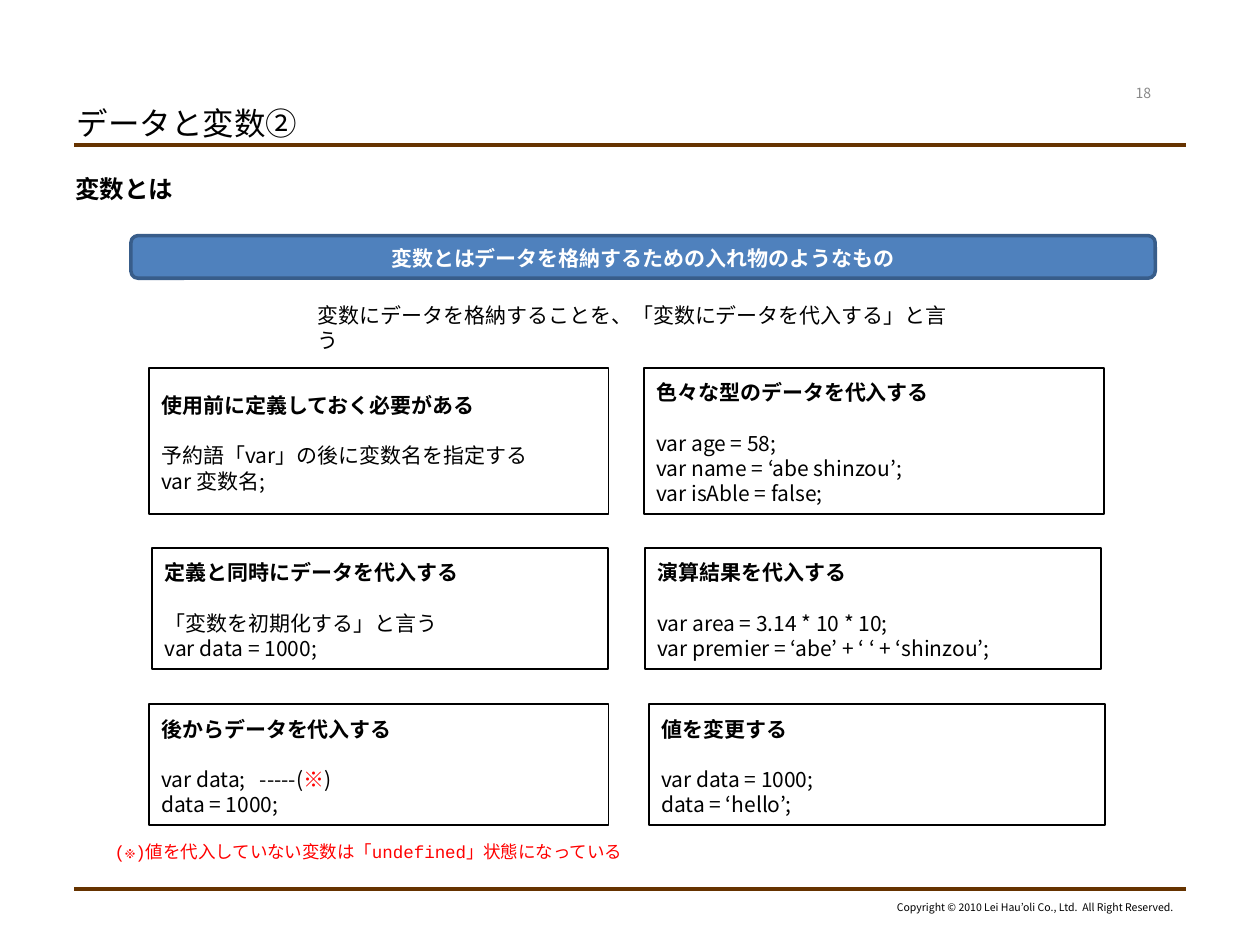
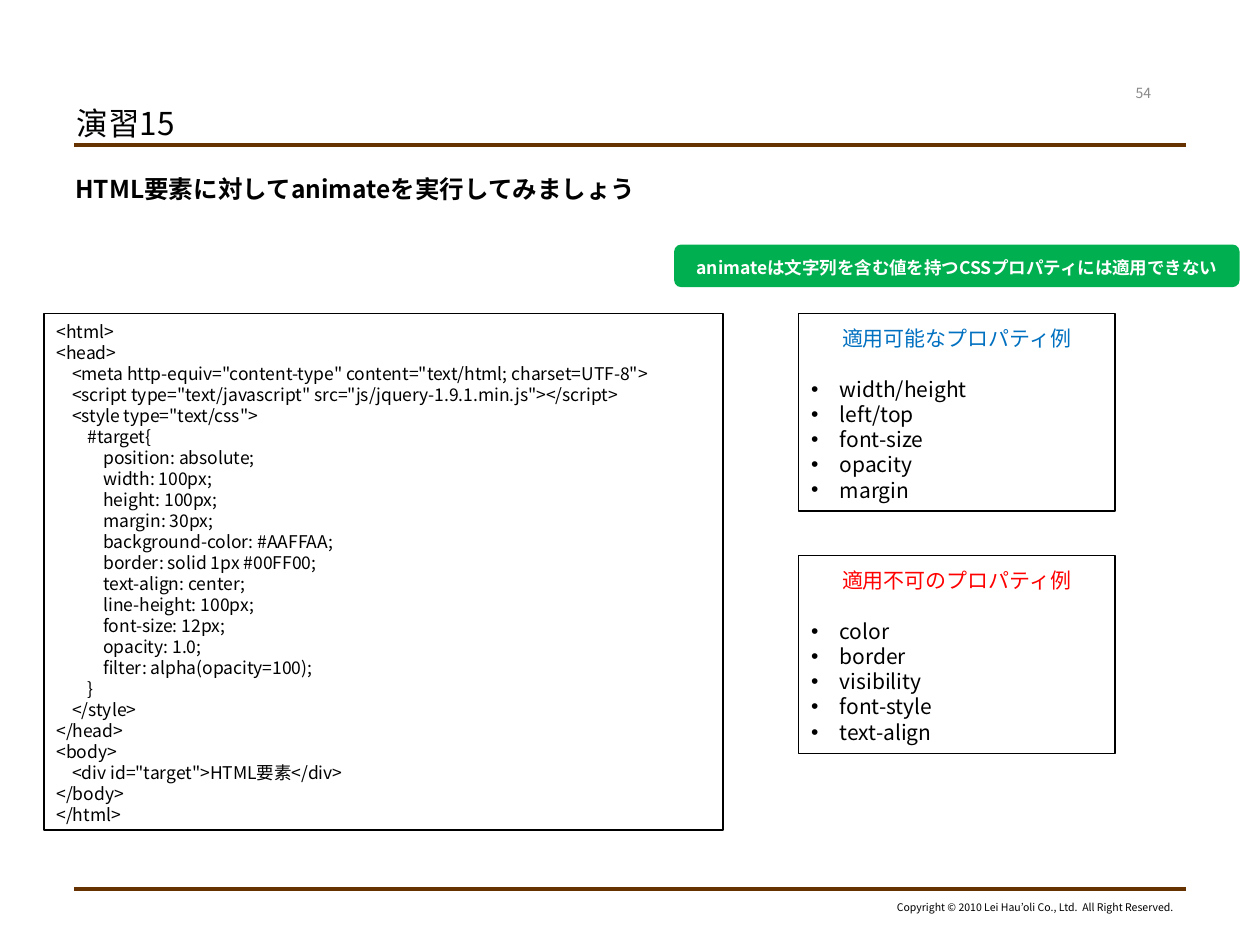
from lxml import etree
from pptx import Presentation
from pptx.dml.color import RGBColor
from pptx.enum.shapes import MSO_CONNECTOR, MSO_SHAPE
from pptx.enum.text import MSO_ANCHOR, PP_ALIGN
from pptx.oxml.ns import qn
from pptx.util import Cm, Pt

LEFT, CENTER, RIGHT = PP_ALIGN.LEFT, PP_ALIGN.CENTER, PP_ALIGN.RIGHT
TOP, MIDDLE = MSO_ANCHOR.TOP, MSO_ANCHOR.MIDDLE
RECTANGLE, ROUNDED = MSO_SHAPE.RECTANGLE, MSO_SHAPE.ROUNDED_RECTANGLE
STRAIGHT = MSO_CONNECTOR.STRAIGHT

TITLE_ONLY = 5
SANS, MONO = "Noto Sans CJK JP", "Courier New"
BLACK, WHITE, GRAY, BROWN = "000000", "FFFFFF", "898989", "663300"
BLUE, DARK_BLUE, GREEN = "4F81BD", "385D8A", "00B050"
RED, TEXT_BLUE = "FF0000", "0070C0"
LINE_HEIGHT = 1.2

VARIABLE_BOXES = [
    ((3, 7.42, 9.27, 2.95), "使用前に定義しておく必要がある",
     ["予約語「var」の後に変数名を指定する", "var 変数名;"]),
    ((12.98, 7.42, 9.27, 2.95), "色々な型のデータを代入する",
     ["var age = 58;", "var name = ‘abe shinzou’;", "var isAble = false;"]),
    ((3.07, 11.05, 9.19, 2.44), "定義と同時にデータを代入する",
     ["「変数を初期化する」と言う", "var data = 1000;"]),
    ((13, 11.05, 9.19, 2.44), "演算結果を代入する",
     ["var area = 3.14 * 10 * 10;", "var premier = ‘abe’ + ‘ ‘ + ‘shinzou’;"]),
    ((3, 14.2, 9.27, 2.44), "後からデータを代入する",
     [[("var data;   -----(", BLACK), ("※", RED), (")", BLACK)], "data = 1000;"]),
    ((13.08, 14.2, 9.19, 2.44), "値を変更する",
     ["var data = 1000;", "data = ‘hello’;"]),
]

PROPERTY_BOXES = [
    ((16.1, 6.32, 6.38, 3.99), "適用可能なプロパティ例", TEXT_BLUE,
     ["width/height", "left/top", "font-size", "opacity", "margin"]),
    ((16.1, 11.2, 6.38, 3.99), "適用不可のプロパティ例", RED,
     ["color", "border", "visibility", "font-style", "text-align"]),
]

CODE = """<html>
<head>
    <meta http-equiv="content-type" content="text/html; charset=UTF-8">
    <script type="text/javascript" src="js/jquery-1.9.1.min.js"></script>
    <style type="text/css">
        #target{
            position: absolute;
            width: 100px;
            height: 100px;
            margin: 30px;
            background-color: #AAFFAA;
            border: solid 1px #00FF00;
            text-align: center;
            line-height: 100px;
            font-size: 12px;
            opacity: 1.0;
            filter: alpha(opacity=100);
        }
    </style>
</head>
<body>
    <div id="target">HTML要素</div>
</body>
</html>"""


def color(value):
    return RGBColor.from_string(value)


def lengths(box):
    return [Cm(value) for value in box]


def prepare_frame(shape, size, anchor=MIDDLE, wrap=True):
    frame = shape.text_frame
    frame.word_wrap = wrap
    frame.vertical_anchor = anchor
    frame.margin_left = frame.margin_right = Cm(0.25)
    frame.margin_top = Cm(0.13) + Pt(size * 0.08)
    frame.margin_bottom = Cm(0.13) - Pt(size * 0.08)
    return frame


def add_bullet(paragraph):
    properties = paragraph._p.get_or_add_pPr()
    properties.set("marL", str(Cm(0.58)))
    properties.set("indent", str(-Cm(0.58)))
    etree.SubElement(properties, qn("a:buFont"), typeface="Arial")
    etree.SubElement(properties, qn("a:buChar"), char="•")


def write_line(frame, content, size, text_color=BLACK, bold=False, align=LEFT,
               font_name=SANS, bullet=False, space_after=0):
    paragraph = frame.paragraphs[0]
    if paragraph.runs:
        paragraph = frame.add_paragraph()
    if bullet:
        add_bullet(paragraph)
    paragraph.alignment = align
    paragraph.line_spacing = Pt(size * LINE_HEIGHT)
    paragraph.space_before = Pt(0)
    paragraph.space_after = Pt(space_after)
    runs = [(content, text_color)] if isinstance(content, str) else content
    for text, run_color in runs:
        run = paragraph.add_run()
        run.text = text
        run.font.size = Pt(size)
        run.font.bold = bold
        run.font.name = font_name
        run.font.color.rgb = color(run_color)
        etree.SubElement(run.font._element, qn("a:ea"), typeface=SANS)


def add_label(slide, box, text, size, anchor=TOP, wrap=False, **style):
    shape = slide.shapes.add_textbox(*lengths(box))
    write_line(prepare_frame(shape, size, anchor, wrap), text, size, **style)


def add_panel(slide, box, kind=RECTANGLE, fill=None, line=BLACK, width=1):
    shape = slide.shapes.add_shape(kind, *lengths(box))
    shape.shadow.inherit = False
    if fill:
        shape.fill.solid()
        shape.fill.fore_color.rgb = color(fill)
    else:
        shape.fill.background()
    if line:
        shape.line.color.rgb = color(line)
        shape.line.width = Pt(width)
    else:
        shape.line.fill.background()
    return shape


def add_banner(slide, box, text, size, fill, line=None):
    shape = add_panel(slide, box, ROUNDED, fill, line, 2)
    write_line(prepare_frame(shape, size, wrap=False), text, size, WHITE, True, CENTER)


def add_rule(slide, y):
    rule = slide.shapes.add_connector(STRAIGHT, *lengths((1.5, y, 23.9, y)))
    rule.line.color.rgb = color(BROWN)
    rule.line.width = Pt(2.25)
    etree.SubElement(rule._element.spPr, qn("a:effectLst"))


def add_shared_frame(slide):
    own_shapes = list(slide.shapes)
    add_rule(slide, 2.92)
    add_label(slide, (17.75, 18.01, 6.15, 0.51),
              "Copyright © 2010 Lei Hau’oli Co., Ltd.  All Right Reserved.",
              6, align=RIGHT)
    add_rule(slide, 17.93)
    for shape in list(slide.shapes)[len(own_shapes):]:
        slide.slide_layout.shapes.element.append(shape.element)


def add_titled_slide(presentation, title, number, heading):
    slide = presentation.slides.add_slide(presentation.slide_layouts[TITLE_ONLY])
    placeholder = slide.shapes.title
    (placeholder.left, placeholder.top,
     placeholder.width, placeholder.height) = lengths((1.3, 1.93, 14.43, 0.99))
    write_line(prepare_frame(placeholder, 18), title, 18)
    add_label(slide, (1.27, 3.33, 22.86, 14.2), heading, 14, wrap=True, bold=True)
    add_label(slide, (22.3, 1.55, 1.5, 0.61), number, 8, MIDDLE, True,
              text_color=GRAY, align=CENTER)
    return slide


def add_variable_box(slide, box, heading, lines):
    frame = prepare_frame(add_panel(slide, box), 12)
    write_line(frame, heading, 12, bold=True, space_after=12 * LINE_HEIGHT)
    for line in lines:
        write_line(frame, line, 12)


def add_property_box(slide, box, heading, heading_color, properties):
    frame = prepare_frame(add_panel(slide, box), 12)
    write_line(frame, heading, 12, heading_color, align=CENTER,
               space_after=12 * LINE_HEIGHT)
    for name in properties:
        write_line(frame, name, 12, bullet=True)


def add_code_box(slide, box, code):
    frame = prepare_frame(add_panel(slide, box), 10)
    for line in code.splitlines():
        write_line(frame, line, 10)


def build_variables_slide(presentation):
    slide = add_titled_slide(presentation, "データと変数②", "18", "変数とは")
    add_banner(slide, (2.64, 4.75, 20.65, 0.86),
               "変数とはデータを格納するための入れ物のようなもの", 12, BLUE, DARK_BLUE)
    for variable_box in VARIABLE_BOXES:
        add_variable_box(slide, *variable_box)
    add_label(slide, (6.15, 5.94, 13.61, 0.76),
              "変数にデータを格納することを、「変数にデータを代入する」と言う",
              12, font_name=MONO)
    add_label(slide, (2.06, 16.79, 11.23, 0.69),
              "(※)値を代入していない変数は「undefined」状態になっている",
              10, text_color=RED, font_name=MONO)
    return slide


def build_exercise_slide(presentation):
    slide = add_titled_slide(presentation, "演習15", "54",
                             "HTML要素に対してanimateを実行してみましょう")
    for property_box in PROPERTY_BOXES:
        add_property_box(slide, *property_box)
    add_code_box(slide, (0.89, 6.32, 13.69, 10.41), CODE)
    add_banner(slide, (13.59, 4.93, 11.4, 0.86),
               "animateは文字列を含む値を持つCSSプロパティには適用できない", 10, GREEN)


def main():
    presentation = Presentation()
    presentation.slide_width, presentation.slide_height = lengths((25.4, 19.05))
    first_slide = build_variables_slide(presentation)
    add_shared_frame(first_slide)
    build_exercise_slide(presentation)
    presentation.save("out.pptx")


if __name__ == "__main__":
    main()
